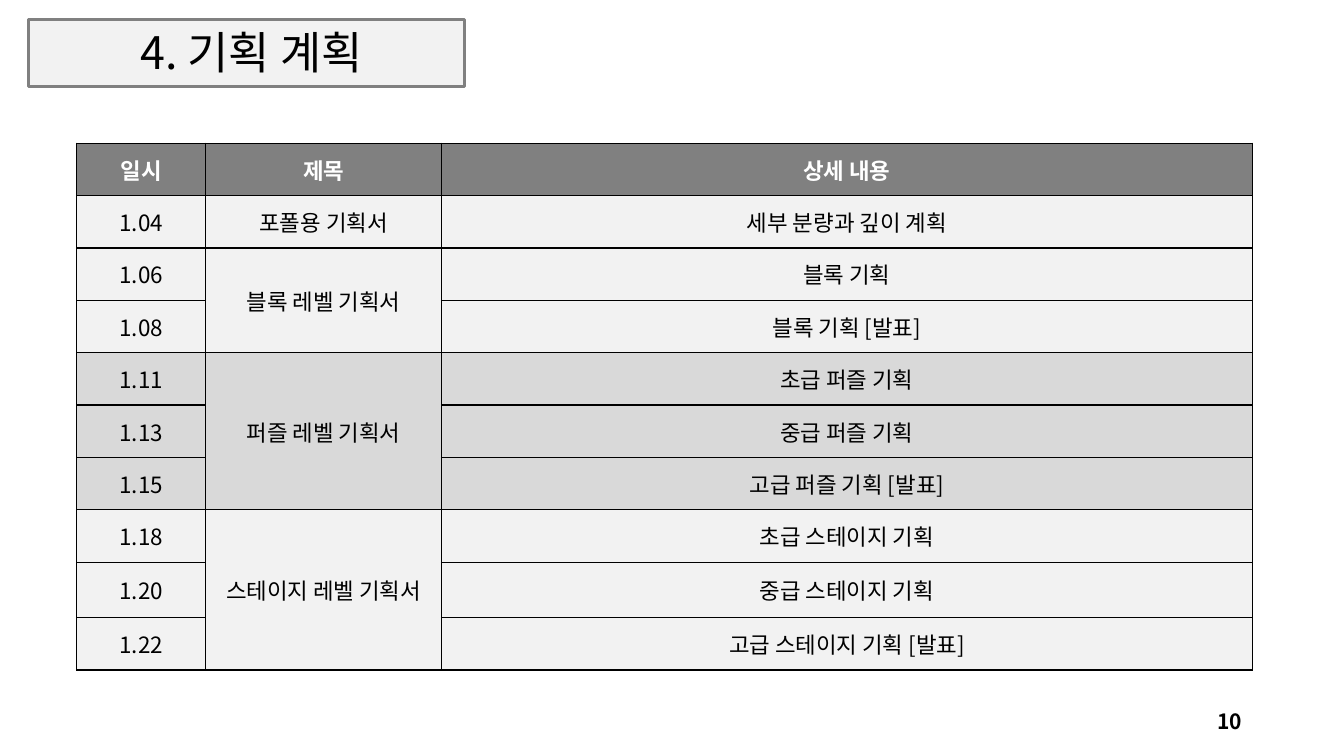
from lxml.etree import SubElement
from pptx import Presentation
from pptx.dml.color import RGBColor
from pptx.enum.shapes import MSO_SHAPE
from pptx.enum.text import MSO_ANCHOR, PP_ALIGN
from pptx.oxml.ns import qn
from pptx.util import Inches, Pt

FONT = "Noto Sans CJK KR"
BLACK, WHITE, GRAY, LIGHT, MIDDLE = "000000", "FFFFFF", "808080", "F2F2F2", "D9D9D9"

HEADINGS = ["일시", "제목", "상세 내용"]
# Each group: title, fill, and its (date, detail) rows
PLANS = [
    ("포폴용 기획서", LIGHT, [("1.04", "세부 분량과 깊이 계획")]),
    ("블록 레벨 기획서", LIGHT, [("1.06", "블록 기획"), ("1.08", "블록 기획 [발표]")]),
    ("퍼즐 레벨 기획서", MIDDLE, [
        ("1.11", "초급 퍼즐 기획"),
        ("1.13", "중급 퍼즐 기획"),
        ("1.15", "고급 퍼즐 기획 [발표]"),
    ]),
    ("스테이지 레벨 기획서", LIGHT, [
        ("1.18", "초급 스테이지 기획"),
        ("1.20", "중급 스테이지 기획"),
        ("1.22", "고급 스테이지 기획 [발표]"),
    ]),
]
COLUMN_WIDTHS = [1.28, 2.34, 8.04]
ROW_HEIGHTS = [0.52] * 8 + [0.55, 0.52]


def color(value):
    return RGBColor.from_string(value)


def write(frame, text, size, ink=BLACK, bold=False, align=PP_ALIGN.CENTER):
    para = frame.paragraphs[0]
    para.text = text
    para.alignment = align
    para.font.name = FONT
    para.font.size = Pt(size)
    para.font.bold = bold
    para.font.color.rgb = color(ink)
    # Hangul takes its typeface from the East Asian font
    defaults = para._p.pPr.find(qn("a:defRPr"))
    SubElement(defaults, qn("a:ea"), typeface=FONT)
    return para


def add_text(page, left, top, width, height, anchor):
    box = page.shapes.add_textbox(Inches(left), Inches(top), Inches(width), Inches(height))
    frame = box.text_frame
    frame.word_wrap = True
    frame.vertical_anchor = anchor
    return frame


def add_title(page, left, top, width, height):
    panel = page.shapes.add_shape(
        MSO_SHAPE.RECTANGLE, Inches(left), Inches(top), Inches(width), Inches(height))
    panel.shadow.inherit = False
    panel.fill.solid()
    panel.fill.fore_color.rgb = color(LIGHT)
    panel.line.color.rgb = color(GRAY)
    panel.line.width = Pt(2.25)
    frame = add_text(page, left + 0.14, top - 0.01, width - 0.18, height - 0.02,
                     MSO_ANCHOR.BOTTOM)
    write(frame, "4. 기획 계획", 32).line_spacing = 0.9


def style_cell(cell, fill):
    properties = cell._tc.get_or_add_tcPr()
    for side in ("lnL", "lnR", "lnT", "lnB"):
        border = SubElement(properties, qn(f"a:{side}"), w=str(Pt(1)))
        solid = SubElement(border, qn("a:solidFill"))
        SubElement(solid, qn("a:srgbClr"), val=BLACK)
    cell.fill.solid()
    cell.fill.fore_color.rgb = color(fill)
    cell.vertical_anchor = MSO_ANCHOR.MIDDLE


def add_schedule(page, left, top, width, height):
    table = page.shapes.add_table(
        len(ROW_HEIGHTS), len(COLUMN_WIDTHS),
        Inches(left), Inches(top), Inches(width), Inches(height)).table
    for column, column_width in zip(table.columns, COLUMN_WIDTHS):
        column.width = Inches(column_width)
    for row, row_height in zip(table.rows, ROW_HEIGHTS):
        row.height = Inches(row_height)

    for index, heading in enumerate(HEADINGS):
        style_cell(table.cell(0, index), GRAY)
        write(table.cell(0, index).text_frame, heading, 16, WHITE, True)

    first = 1
    for title, fill, entries in PLANS:
        for offset, (date, detail) in enumerate(entries):
            for index in range(len(HEADINGS)):
                style_cell(table.cell(first + offset, index), fill)
            write(table.cell(first + offset, 0).text_frame, date, 16)
            write(table.cell(first + offset, 2).text_frame, detail, 16)
        title_cell = table.cell(first, 1)
        write(title_cell.text_frame, title, 16)
        if len(entries) > 1:
            title_cell.merge(table.cell(first + len(entries) - 1, 1))
        first += len(entries)


def add_page_number(page, left, top, width, height):
    frame = add_text(page, left, top, width, height, MSO_ANCHOR.MIDDLE)
    write(frame, "10", 15, bold=True, align=PP_ALIGN.RIGHT)


def main():
    deck = Presentation()
    deck.slide_width = Inches(13.33)
    deck.slide_height = Inches(7.5)
    page = deck.slides.add_slide(deck.slide_layouts[6])
    add_title(page, 0.28, 0.19, 4.33, 0.67)
    add_schedule(page, 0.76, 1.42, sum(COLUMN_WIDTHS), sum(ROW_HEIGHTS))
    add_page_number(page, 9.42, 6.95, 3, 0.4)
    deck.save("out.pptx")


if __name__ == "__main__":
    main()
